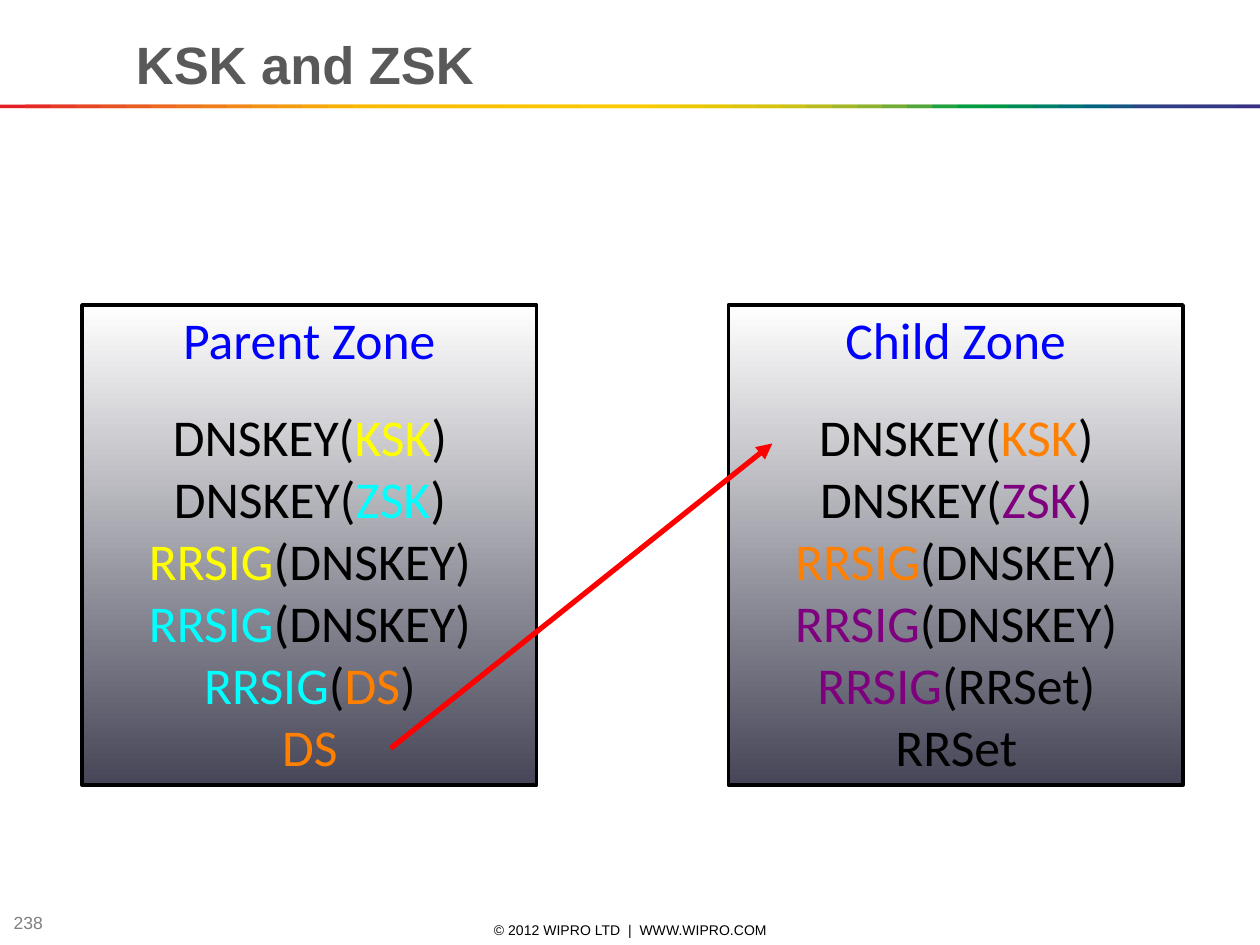
"""Builds the KSK and ZSK slide, showing how a parent zone's DS points to a child zone's key."""
from dataclasses import dataclass
from typing import Any

from lxml import etree
from pptx import Presentation
from pptx import util as u
from pptx.dml.color import RGBColor
from pptx.enum import shapes, text
from pptx.oxml.ns import qn

BLACK = RGBColor(0x00, 0x00, 0x00)
WHITE = RGBColor(0xFF, 0xFF, 0xFF)
SLATE = RGBColor(0x46, 0x46, 0x58)
TITLE_GREY = RGBColor(0x59, 0x59, 0x59)
NUMBER_GREY = RGBColor(0x80, 0x80, 0x80)
BLUE = RGBColor(0x00, 0x00, 0xFF)
RED = RGBColor(0xFF, 0x00, 0x00)
YELLOW = RGBColor(0xFF, 0xFF, 0x00)
CYAN = RGBColor(0x00, 0xFF, 0xFF)
ORANGE = RGBColor(0xFF, 0x7F, 0x00)
PURPLE = RGBColor(0x7F, 0x00, 0x7F)
RAINBOW = [RGBColor.from_string(code) for code in (
    "E31E24 E42C24 E53A24 E74623 E85122 EA5D21 EC691F EE741D EF7E1A F18817 "
    "F39314 F49C0F F6A607 F8B002 FBBA00 FBBB00 FBBD00 FCBF00 FCC000 FCC200 "
    "FDC400 FDC600 FDC700 FEC900 FECB00 FBCB00 F3CA00 ECC800 E4C602 DCC50A "
    "D5C30E CCC117 B8BC21 A3B829 8CB230 71AD36 51A73B 1DA240 009D43 009846 "
    "008C57 008068 007275 00637F 185384 2E4285 313E85 333B85 353885 393185"
).split()]

COLUMNS, ROWS = 100, 75
ZONE_WIDTH, ZONE_TOP, ZONE_HEIGHT = 36.1, 24.2, 38.1
PARENT_LEFT, CHILD_LEFT = 6.5, 57.8

PARENT_RECORDS = [
    [("DNSKEY(", BLACK), ("KSK", YELLOW), (")", BLACK)],
    [("DNSKEY(", BLACK), ("ZSK", CYAN), (")", BLACK)],
    [("RRSIG", YELLOW), ("(DNSKEY)", BLACK)],
    [("RRSIG", CYAN), ("(DNSKEY)", BLACK)],
    [("RRSIG", CYAN), ("(", BLACK), ("DS", ORANGE), (")", BLACK)],
    [("DS", ORANGE)],
]
CHILD_RECORDS = [
    [("DNSKEY(", BLACK), ("KSK", ORANGE), (")", BLACK)],
    [("DNSKEY(", BLACK), ("ZSK", PURPLE), (")", BLACK)],
    [("RRSIG", ORANGE), ("(DNSKEY)", BLACK)],
    [("RRSIG", PURPLE), ("(DNSKEY)", BLACK)],
    [("RRSIG", PURPLE), ("(RRSet)", BLACK)],
    [("RRSet", BLACK)],
]


def write(frame, lines, *, size, font="Arial", bold=False, align=text.PP_ALIGN.LEFT):
    """Fill a text frame with lines, each a list of (wording, colour) pairs."""
    for index, line in enumerate(lines):
        paragraph = frame.paragraphs[0] if index == 0 else frame.add_paragraph()
        paragraph.alignment = align
        for wording, colour in line:
            run = paragraph.add_run()
            run.text = wording
            run.font.name, run.font.size, run.font.bold = font, u.Pt(size), bold
            run.font.color.rgb = colour


@dataclass
class ZoneSlide:
    """Holds the style and the current slide, and places elements on its grid."""
    deck: Any
    slide: Any
    zone_font: str = "Calibri"
    zone_size: float = 29.5

    def grid(self, column, row):
        """Turn a column and a row into slide lengths."""
        return (round(self.deck.slide_width * column / COLUMNS),
                round(self.deck.slide_height * row / ROWS))

    def rectangle(self, left, top, width, height):
        """Add a plain rectangle without shadow."""
        box = self.slide.shapes.add_shape(
            shapes.MSO_SHAPE.RECTANGLE, *self.grid(left, top), *self.grid(width, height))
        box.shadow.inherit = False
        return box

    def label(self, left, top, width, height, lines, *, inset=True, wrap=True,
              anchor=text.MSO_ANCHOR.MIDDLE, **style):
        """Add a text box holding formatted lines."""
        frame = self.slide.shapes.add_textbox(
            *self.grid(left, top), *self.grid(width, height)).text_frame
        frame.word_wrap, frame.vertical_anchor = wrap, anchor
        if not inset:
            frame.margin_left = frame.margin_right = frame.margin_top = frame.margin_bottom = 0
        write(frame, lines, **style)

    def rainbow(self, top, height):
        """Add the rule of overlapping coloured strips across the slide."""
        step = COLUMNS / len(RAINBOW)
        for index, colour in enumerate(RAINBOW):
            left = index * step
            strip = self.rectangle(left, top, min(2 * step, COLUMNS - left), height)
            strip.fill.solid()
            strip.fill.fore_color.rgb = colour
            strip.line.fill.background()

    def zone(self, left, name, records):
        """Add a shaded zone with its name and its records."""
        panel = self.rectangle(left, ZONE_TOP, ZONE_WIDTH, ZONE_HEIGHT)
        panel.fill.gradient()
        panel.fill.gradient_angle = 270
        for stop, colour in zip(panel.fill.gradient_stops, (WHITE, SLATE)):
            stop.color.rgb = colour
        panel.line.color.rgb, panel.line.width = BLACK, u.Pt(2)
        style = dict(size=self.zone_size, font=self.zone_font,
                     align=text.PP_ALIGN.CENTER, inset=False)
        self.label(left, ZONE_TOP + 0.3, ZONE_WIDTH, 4.8, [[(name, BLUE)]], **style)
        self.label(left + 5.2, ZONE_TOP + 7.8, 25.8, 29.8, records, wrap=False, **style)

    def arrow(self, tip, end):
        """Add a red line with its arrowhead at the tip."""
        link = self.slide.shapes.add_connector(
            shapes.MSO_CONNECTOR.STRAIGHT, *self.grid(*tip), *self.grid(*end))
        link.line.color.rgb, link.line.width = RED, u.Pt(3)
        etree.SubElement(link.line._get_or_add_ln(), qn("a:headEnd"), type="triangle")
        etree.SubElement(link._element.spPr, qn("a:effectLst"))


def main():
    """Build and save the slide."""
    deck = Presentation()
    deck.slide_width, deck.slide_height = u.Inches(10), u.Inches(7.5)
    page = ZoneSlide(deck, deck.slides.add_slide(deck.slide_layouts[6]))
    page.label(34.2, 73, 31.7, 1.6, [[("© 2012 WIPRO LTD  |  WWW.WIPRO.COM", BLACK)]],
               size=8, align=text.PP_ALIGN.CENTER)
    page.label(0.1, 72.2, 7.5, 2.1, [[("238", NUMBER_GREY)]], size=10)
    page.rainbow(8.3, 0.3)
    page.label(9.8, 1.9, 80.5, 6.1, [[("KSK and ZSK", TITLE_GREY)]],
               size=30, bold=True, anchor=text.MSO_ANCHOR.BOTTOM)
    page.zone(CHILD_LEFT, "Child Zone", CHILD_RECORDS)
    page.zone(PARENT_LEFT, "Parent Zone", PARENT_RECORDS)
    page.arrow((61.3, 35.2), (31, 59.4))
    deck.save("out.pptx")


if __name__ == "__main__":
    main()
